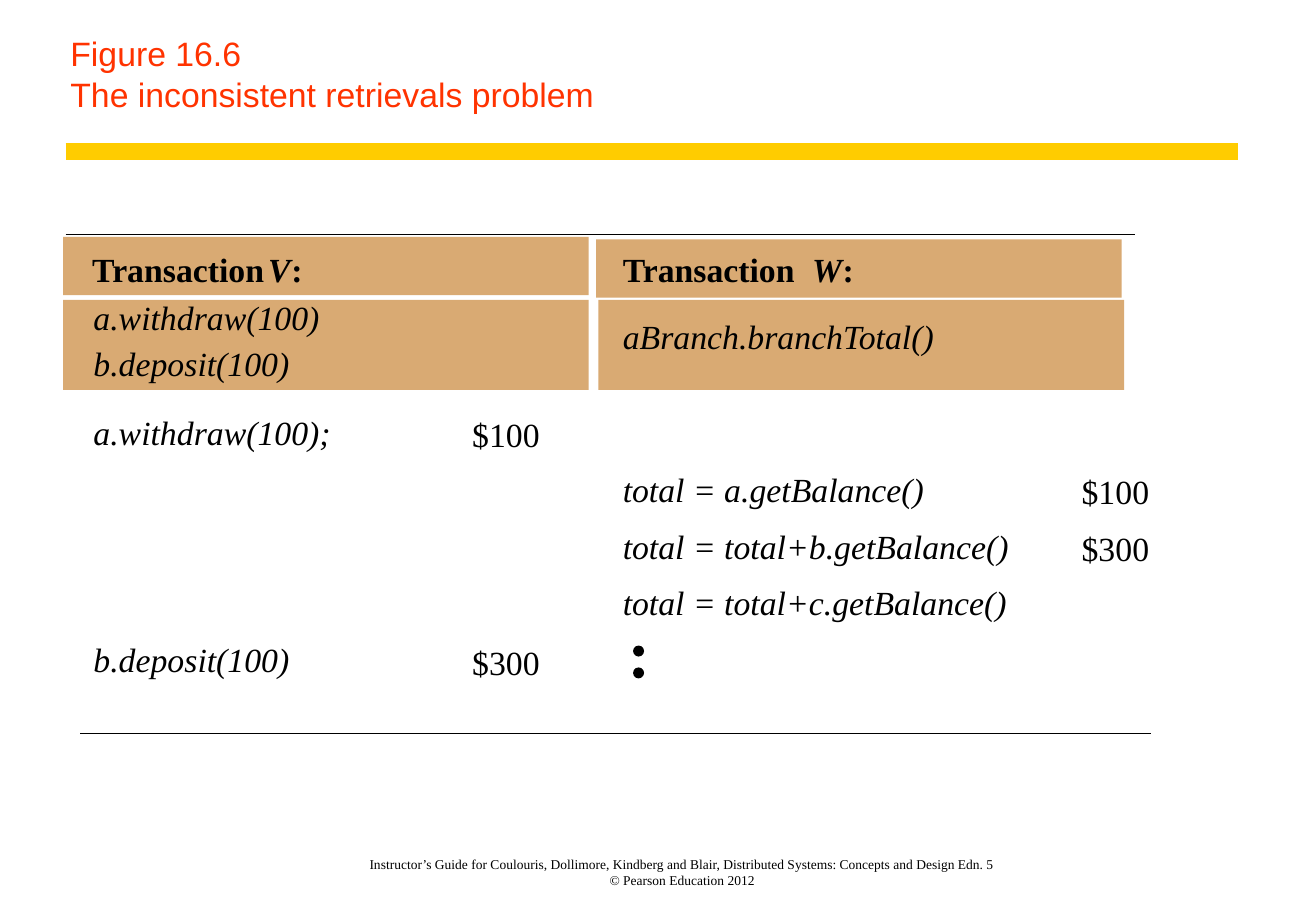
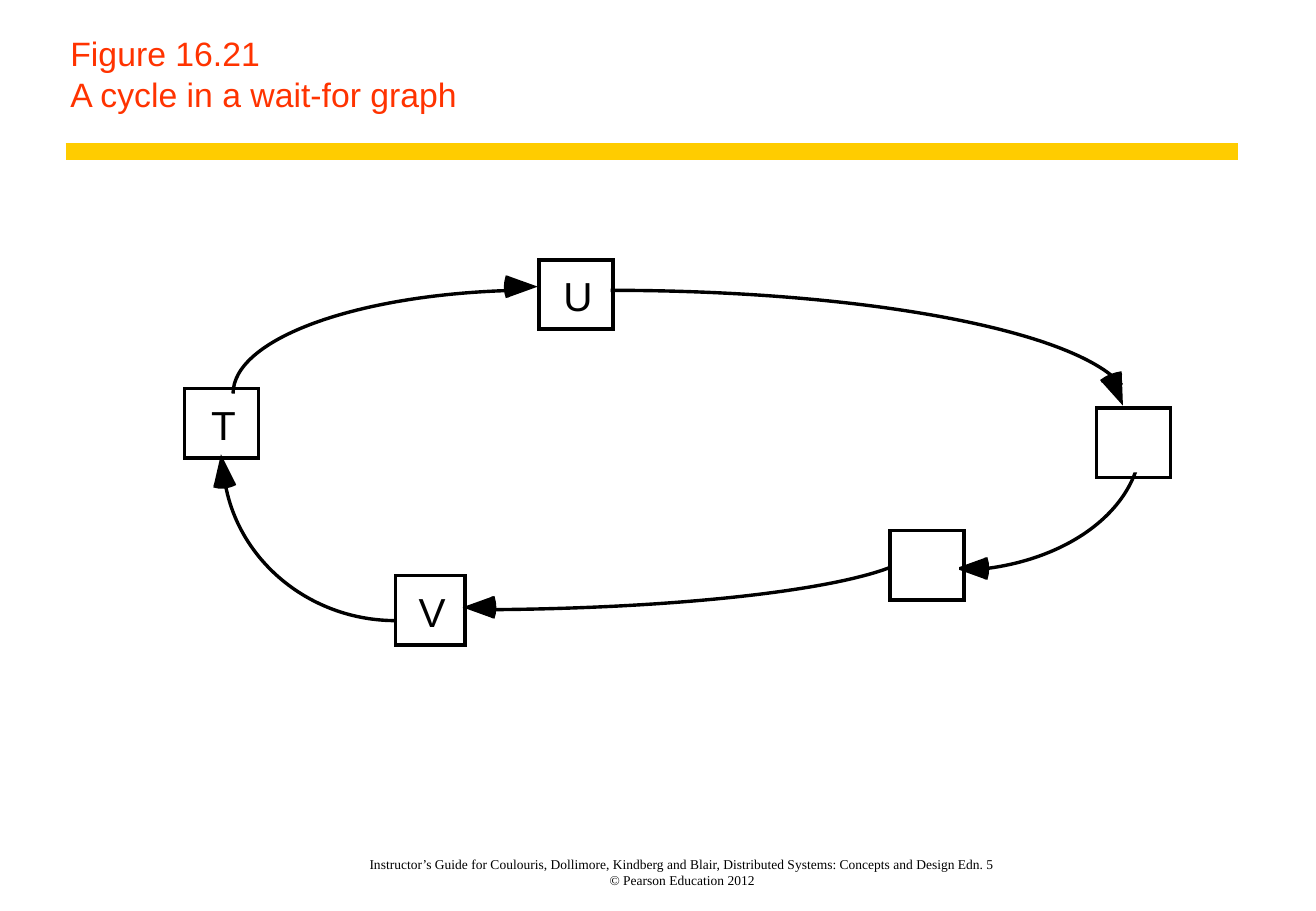
from lxml.etree import SubElement
from pptx import Presentation
from pptx.dml.color import RGBColor
from pptx.enum.shapes import MSO_CONNECTOR as Connector, MSO_SHAPE as Shape
from pptx.enum.text import MSO_ANCHOR as Anchor, MSO_AUTO_SIZE as AutoSize, PP_ALIGN as Align
from pptx.oxml.ns import qn
from pptx.util import Inches, Pt

BLACK, WHITE, RED, GOLD, TAN = "000000", "FFFFFF", "FF3300", "FFCC00", "D9AA73"
SANS, SERIF = "Arial", "Times New Roman"
FOOTER = ("Instructor’s Guide for Coulouris, Dollimore, Kindberg and Blair, "
          "Distributed Systems: Concepts and Design Edn. 5\v© Pearson Education 2012")


def color(hex_string):
    return RGBColor.from_string(hex_string)


def lengths(*values):
    return [Inches(value) for value in values]


def set_font(font, name, size, hex_string=BLACK):
    font.name, font.size = name, Pt(size)
    font.color.rgb = color(hex_string)


def set_frame(frame, insets=(0, 0, 0, 0), anchor=Anchor.TOP):
    """Set wrapping, anchor and the left, top, right and bottom insets."""
    frame.word_wrap, frame.auto_size = True, AutoSize.NONE
    frame.vertical_anchor = anchor
    (frame.margin_left, frame.margin_top,
     frame.margin_right, frame.margin_bottom) = lengths(*insets)


def paint(shape, fill=None, line=None, width=2):
    shape.shadow.inherit = False
    if fill:
        shape.fill.solid()
        shape.fill.fore_color.rgb = color(fill)
    else:
        shape.fill.background()
    if line:
        shape.line.color.rgb = color(line)
        shape.line.width = Pt(width)
    else:
        shape.line.fill.background()


def add_box(page, left, top, width, height, fill=None, line=None, kind=Shape.RECTANGLE, weight=2):
    box = page.shapes.add_shape(kind, *lengths(left, top, width, height))
    paint(box, fill, line, weight)
    return box


def add_rule(page, left, right, y, hex_string=BLACK, width=0.75):
    rule = page.shapes.add_connector(Connector.STRAIGHT, *lengths(left, y, right, y))
    rule.line.color.rgb = color(hex_string)
    rule.line.width = Pt(width)
    SubElement(rule._element.spPr, qn("a:effectLst"))


def add_label(page, x, y, width, text, italic=False, bold=False):
    box = page.shapes.add_textbox(*lengths(x, y, width, 0.33))
    set_frame(box.text_frame)
    para = box.text_frame.paragraphs[0]
    para.text = text
    set_font(para.font, SERIF, 20)
    para.font.italic, para.font.bold = italic, bold


def add_page(deck, title):
    """Add a slide with the shared title style, gold rule and footer."""
    page = deck.slides.add_slide(deck.slide_layouts[5])
    heading = page.shapes.title
    heading.left, heading.top, heading.width, heading.height = lengths(0.48, 0, 9.72, 1)
    set_frame(heading.text_frame, (0.1, 0.06, 0.14, 0.06), Anchor.BOTTOM)
    footer = page.shapes.add_textbox(*lengths(2.32, 6.92, 6.6, 0.39))
    set_frame(footer.text_frame, (0.04, 0, 0.04, 0), Anchor.BOTTOM)
    for shape, text, align, style in (
            (heading, title, Align.LEFT, (SANS, 20, RED)),
            (footer, FOOTER, Align.CENTER, (SERIF, 8))):
        para = shape.text_frame.paragraphs[0]
        para.text, para.alignment = text, align
        set_font(para.font, *style)
    add_rule(page, 0.54, 10.2, 1.25, GOLD, 10)
    return page


def curve_points(start, control1, control2, end, steps=24):
    """Return points along a cubic curve, to find its extent."""
    points = []
    for step in range(steps + 1):
        t = step / steps
        weights = ((1 - t) ** 3, 3 * t * (1 - t) ** 2, 3 * t * t * (1 - t), t ** 3)
        points.append([sum(w * p[axis] for w, p in
                           zip(weights, (start, control1, control2, end)))
                       for axis in (0, 1)])
    return points


def add_curve(page, curve, tip=None):
    """Draw one cubic curve, or a filled arrowhead when a tip closes it."""
    points = curve_points(*curve) + ([tip] if tip else [])
    start, *others = [lengths(*point) for point in points]
    builder = page.shapes.build_freeform(*start)
    builder.add_line_segments(others, close=False)
    shape = builder.convert_to_shape()

    def add_point(parent, point):
        x, y = lengths(*point)
        SubElement(parent, qn("a:pt"), x=str(x - shape.left), y=str(y - shape.top))

    outline = shape._element.find(".//" + qn("a:path"))
    for segment in outline.findall(qn("a:lnTo")):
        outline.remove(segment)
    cubic = SubElement(outline, qn("a:cubicBezTo"))
    for point in curve[1:]:
        add_point(cubic, point)
    if tip:
        add_point(SubElement(outline, qn("a:lnTo")), tip)
        SubElement(outline, qn("a:close"))
        paint(shape, fill=BLACK)
    else:
        paint(shape, line=BLACK)


def add_wait_arrow(page, curve, back, tip):
    """Draw a curve and a head whose rounded back is outlined."""
    add_curve(page, back)
    add_curve(page, back, tip)
    add_curve(page, curve)


def add_node(page, left, top, width=0.61, name="", backed=True):
    """Draw a square whose white backing is a little smaller than its outline."""
    if backed:
        add_box(page, left, top, width - 0.04, 0.53, WHITE)
    node = add_box(page, left, top, width, 0.57, line=BLACK)
    SubElement(node.line._get_or_add_ln(), qn("a:miter"), lim="800000")
    if name:
        set_frame(node.text_frame, (0.03, 0.01, 0, 0), Anchor.MIDDLE)
        para = node.text_frame.paragraphs[0]
        para.text, para.alignment = name, Align.CENTER
        set_font(para.font, SANS, 24)


def build_retrievals(deck):
    page = add_page(deck, "Figure 16.6\vThe inconsistent retrievals problem")
    for left, top, height in ((0.52, 1.95, 0.48), (4.91, 1.97, 0.48),
                              (0.52, 2.47, 0.74), (4.93, 2.47, 0.74)):
        add_box(page, left, top, 4.33, height, TAN)

    operation_x = {"V": 0.77, "W": 5.13}
    amount_x = {"V": 3.89, "W": 8.91}
    for name, x, name_x, colon_x in (("V", 0.76, 2.21, 2.4), ("W", 5.13, 6.69, 6.94)):
        add_label(page, x, 2.05, 1.51, "Transaction", bold=True)
        add_label(page, name_x, 2.05, 0.3, name, italic=True, bold=True)
        add_label(page, colon_x, 2.05, 0.15, ":", bold=True)
    for name, y, width, text in (("V", 2.44, 1.9, "a.withdraw(100)"),
                                 ("V", 2.82, 1.7, "b.deposit(100)"),
                                 ("W", 2.6, 2.65, "aBranch.branchTotal()")):
        add_label(page, operation_x[name], y, width, text, italic=True)

    schedule = (("V", "a.withdraw(100);", 2, "$100"),
                ("W", "total = a.getBalance()", 2.55, "$100"),
                ("W", "total = total+b.getBalance()", 3.25, "$300"),
                ("W", "total = total+c.getBalance()", 3.25, ""),
                ("V", "b.deposit(100)", 1.7, "$300"))
    for row, (name, operation, width, amount) in enumerate(schedule):
        y = 3.39 + 1.87 / 4 * row
        add_label(page, operation_x[name], y, width, operation, italic=True)
        if amount:
            add_label(page, amount_x[name], y + 0.02, 0.6, amount)

    for top in (5.32, 5.5):
        add_box(page, 5.22, top, 0.08, 0.08, BLACK, BLACK, Shape.OVAL, 0.75)
    add_rule(page, 0.54, 9.35, 1.93)
    add_rule(page, 0.66, 9.48, 6.04)


def build_wait_graph(deck):
    page = add_page(deck, "Figure 16.21\vA cycle in a wait-for graph")
    add_node(page, 4.44, 2.14, name="U", backed=False)
    add_node(page, 3.26, 4.74, 0.57, "V")
    add_node(page, 1.52, 3.2, name="T")
    for curve, back, tip in (
            (((1.92, 3.24), (1.92, 2.79), (2.94, 2.42), (4.25, 2.39)),
             ((4.18, 2.45), (4.16, 2.4), (4.16, 2.33), (4.18, 2.27)), (4.43, 2.36)),
            (((3.26, 5.11), (2.55, 5.11), (1.95, 4.61), (1.85, 3.95)),
             ((1.94, 3.98), (1.88, 4.01), (1.82, 4.02), (1.76, 4)), (1.82, 3.74)),
            (((5.03, 2.39), (7.08, 2.39), (8.84, 2.71), (9.24, 3.17)),
             ((9.07, 3.14), (9.12, 3.1), (9.18, 3.08), (9.24, 3.07)), (9.25, 3.34)),
            (((9.4, 3.62), (9.4, 4.17), (8.82, 4.62), (8.04, 4.69)),
             ((8.12, 4.59), (8.14, 4.65), (8.14, 4.71), (8.12, 4.77)), (7.87, 4.68)),
            (((7.57, 4.48), (7.58, 4.77), (5.99, 5.01), (3.98, 5.02)),
             ((4.06, 4.91), (4.08, 4.97), (4.08, 5.04), (4.06, 5.09)), (3.81, 5))):
        add_wait_arrow(page, curve, back, tip)
    add_node(page, 7.33, 4.37)
    add_node(page, 9.03, 3.36)


def main():
    deck = Presentation()
    deck.slide_width, deck.slide_height = lengths(10.84, 7.5)
    build_retrievals(deck)
    build_wait_graph(deck)
    deck.save("out.pptx")


if __name__ == "__main__":
    main()
